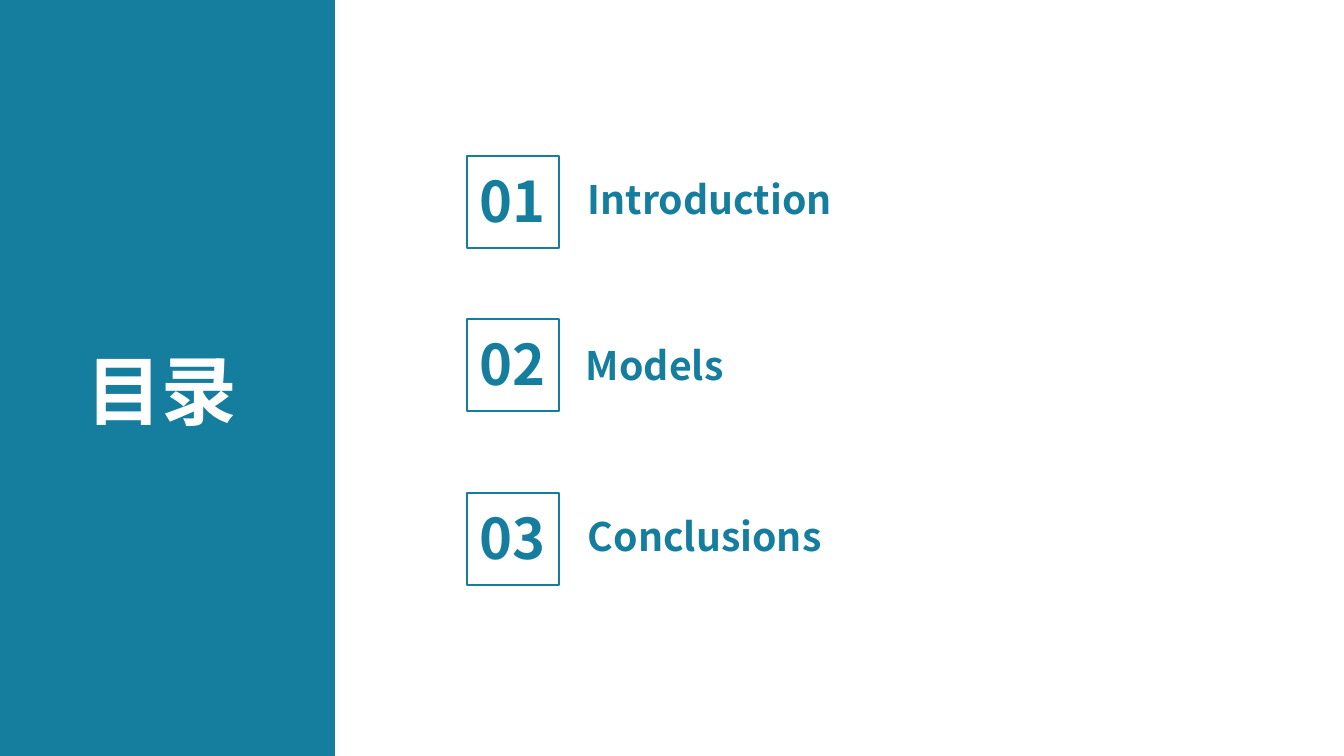
"""Build a contents slide with a coloured side panel and three numbered topics."""
from pptx import Presentation
from pptx.dml.color import RGBColor
from pptx.enum.shapes import MSO_SHAPE
from pptx.enum.text import MSO_ANCHOR, MSO_AUTO_SIZE, PP_ALIGN
from pptx.util import Pt

TEAL = RGBColor(0x15, 0x7E, 0x9F)
WHITE = RGBColor(0xFF, 0xFF, 0xFF)
FONT = "Noto Sans CJK SC"

HEADING = "目录"
TOPICS = [
    {"name": "Introduction", "frame_top": 156, "name_box": (578, 170, 362, 57)},
    {"name": "Models", "frame_top": 319, "name_box": (576, 336, 638, 57)},
    {"name": "Conclusions", "frame_top": 493, "name_box": (578, 507, 430, 57)},
]
SLIDE_WIDTH, SLIDE_HEIGHT = 1344, 756
PANEL_WIDTH = 335
HEADING_BOX = (76, 339, 173, 102)
FRAME_LEFT, FRAME_SIZE = 467, 92
NUMBER_DROP, NUMBER_HEIGHT = 6, 78

HEADING_FORMAT = {"size": Pt(54), "color": WHITE, "align": PP_ALIGN.LEFT, "wrap": False}
NUMBER_FORMAT = {"size": Pt(40), "color": TEAL, "align": PP_ALIGN.CENTER, "wrap": True}
NAME_FORMAT = {"size": Pt(28), "color": TEAL, "align": PP_ALIGN.LEFT, "wrap": True}


def emu(px):
    """Turn px into EMU."""
    return round(px * 914400 / 100.8)


def place(shape, box):
    """Move and size a shape to a px box."""
    for side, px in zip(("left", "top", "width", "height"), box):
        setattr(shape, side, emu(px))


def write(shape, text, style):
    """Fill a shape with one formatted line."""
    frame = shape.text_frame
    frame.text = text
    layout = {"word_wrap": style["wrap"], "auto_size": MSO_AUTO_SIZE.SHAPE_TO_FIT_TEXT,
              "vertical_anchor": MSO_ANCHOR.TOP}
    for key, value in layout.items():
        setattr(frame, key, value)
    line = frame.paragraphs[0]
    line.alignment = style["align"]
    line.line_spacing = 1.0
    font = line.runs[0].font
    for key, value in {"name": FONT, "bold": True, "size": style["size"]}.items():
        setattr(font, key, value)
    font.color.rgb = style["color"]


def add_text(slide, text, box, style):
    """Add a text box at a px box."""
    text_box = slide.shapes.add_textbox(0, 0, 0, 0)
    write(text_box, text, style)
    place(text_box, box)


def add_rectangle(slide, box):
    """Add a plain rectangle at a px box."""
    rectangle = slide.shapes.add_shape(MSO_SHAPE.RECTANGLE, 0, 0, 0, 0)
    rectangle.shadow.inherit = False
    place(rectangle, box)
    return rectangle


def main():
    """Build and save the slide."""
    deck = Presentation()
    deck.slide_width, deck.slide_height = emu(SLIDE_WIDTH), emu(SLIDE_HEIGHT)
    slide = deck.slides.add_slide(deck.slide_layouts[5])

    panel = add_rectangle(slide, (0, 0, PANEL_WIDTH, SLIDE_HEIGHT))
    panel.fill.solid()
    panel.fill.fore_color.rgb = TEAL
    panel.line.fill.background()

    heading = slide.shapes.title
    heading._element.addprevious(panel._element)
    write(heading, HEADING, HEADING_FORMAT)
    place(heading, HEADING_BOX)

    for number, topic in enumerate(TOPICS, 1):
        top = topic["frame_top"]
        add_text(slide, topic["name"], topic["name_box"], NAME_FORMAT)
        add_text(slide, f"{number:02d}", (FRAME_LEFT, top + NUMBER_DROP, FRAME_SIZE, NUMBER_HEIGHT),
                 NUMBER_FORMAT)
        frame = add_rectangle(slide, (FRAME_LEFT, top, FRAME_SIZE, FRAME_SIZE))
        frame.fill.background()
        frame.line.color.rgb = TEAL
        frame.line.width = Pt(1)

    deck.save("out.pptx")


if __name__ == "__main__":
    main()
